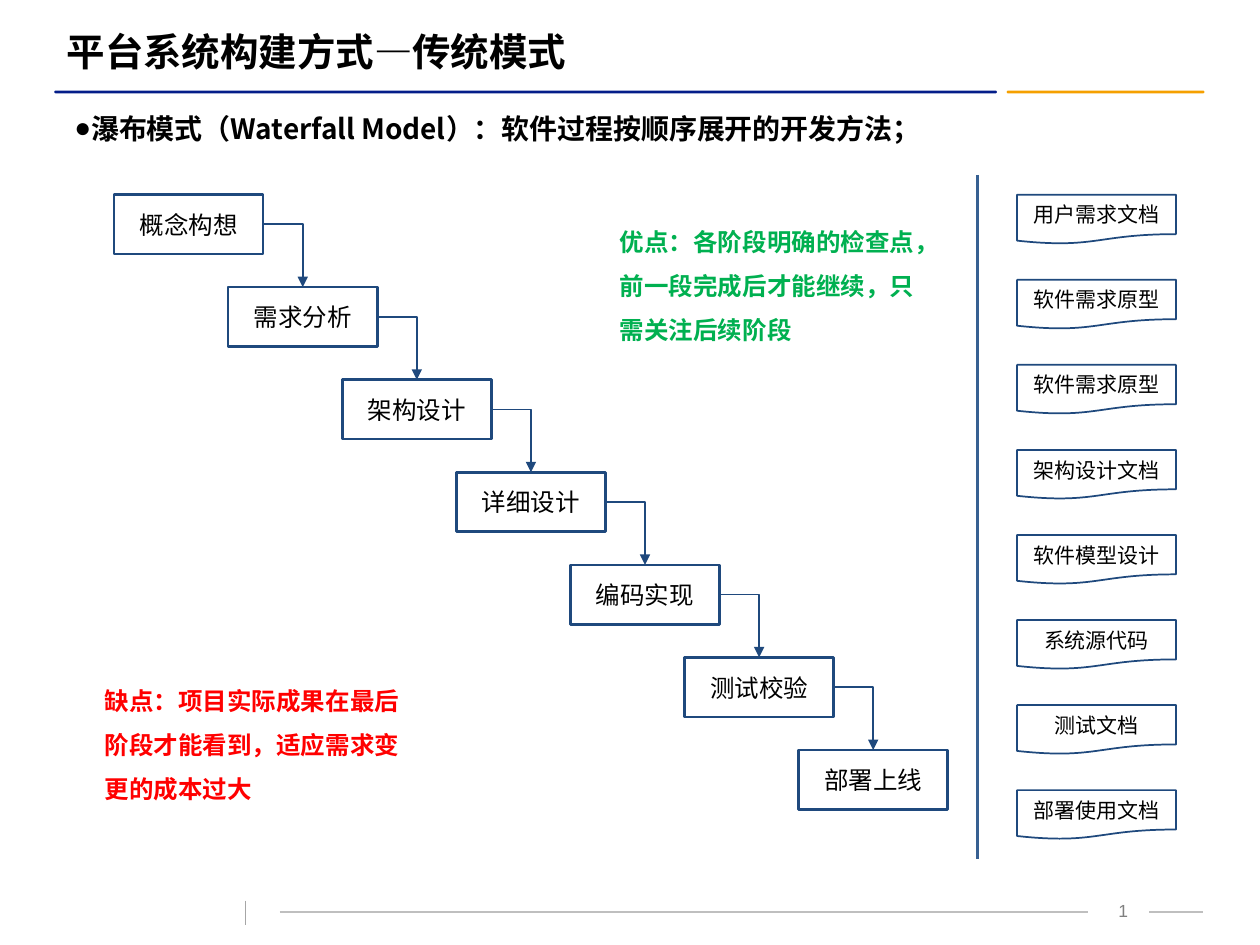
from pptx import Presentation
from pptx.dml.color import RGBColor
from pptx.enum.shapes import MSO_CONNECTOR as Conn, MSO_SHAPE as Shape
from pptx.enum.text import MSO_ANCHOR as Anchor, PP_ALIGN as Align
from pptx.oxml.ns import qn
from pptx.util import Pt
from lxml.etree import SubElement

FONT = "Noto Sans CJK SC"
NAVY = "1F497D"
RIGHT, TOP = 3, 0
STAGES = ["概念构想", "需求分析", "架构设计", "详细设计", "编码实现", "测试校验", "部署上线"]
DOCUMENTS = ["用户需求文档", "软件需求原型", "软件需求原型", "架构设计文档",
             "软件模型设计", "系统源代码", "测试文档", "部署使用文档"]


def rgb(color):
    return RGBColor.from_string(color)


def set_text(s, text, size, color="000000", bold=False, align=Align.LEFT,
             font=FONT, anchor=Anchor.MIDDLE):
    tf = s.text_frame
    tf.word_wrap = True
    tf.vertical_anchor = anchor
    tf.text = text
    p = tf.paragraphs[0]
    p.alignment = align
    r = p.runs[0]
    r.font.size, r.font.bold, r.font.name = Pt(size), bold, font
    r.font.color.rgb = rgb(color)
    SubElement(r.font._element, qn("a:ea")).set("typeface", FONT)
    return p


def add_text(slide, box, text, size, inset=True, **style):
    s = slide.shapes.add_textbox(*map(Pt, box))
    if not inset:
        tf = s.text_frame
        tf.margin_left = tf.margin_top = tf.margin_right = tf.margin_bottom = 0
    return set_text(s, text, size, **style)


def add_bullet(p, char, indent):
    pPr = p._p.get_or_add_pPr()
    pPr.set("marL", str(Pt(indent)))
    pPr.set("indent", str(-Pt(indent)))
    SubElement(pPr, qn("a:buFont")).set("typeface", "Arial")
    SubElement(pPr, qn("a:buChar")).set("char", char)


def add_bar(slide, box, color):
    s = slide.shapes.add_shape(Shape.ROUNDED_RECTANGLE, *map(Pt, box))
    s.shadow.inherit = False
    s.adjustments[0] = 0.5
    s.fill.solid()
    s.fill.fore_color.rgb = rgb(color)
    s.line.fill.background()


def add_outlined(slide, kind, box, text, size, width):
    s = slide.shapes.add_shape(kind, *map(Pt, box))
    s.shadow.inherit = False
    s.fill.background()
    s.line.color.rgb = rgb(NAVY)
    s.line.width = Pt(width)
    set_text(s, text, size, align=Align.CENTER)
    return s


def add_line(slide, start, end, color, width, kind=Conn.STRAIGHT):
    c = slide.shapes.add_connector(kind, *map(Pt, start + end))
    c.line.color.rgb = rgb(color)
    c.line.width = Pt(width)
    SubElement(c._element.spPr, qn("a:effectLst"))
    return c


def add_step_arrow(slide, upper, lower):
    """Arrow with one bend, from the right of one stage to the top of the next."""
    c = add_line(slide, (0, 0), (0, 0), NAVY, 1, Conn.ELBOW)
    c.begin_connect(upper, RIGHT)
    c.end_connect(lower, TOP)
    c._element.spPr.find(qn("a:prstGeom")).set("prst", "bentConnector2")
    SubElement(c.line._get_or_add_ln(), qn("a:tailEnd")).set("type", "triangle")


def add_frame(slide):
    """Header bars and footer."""
    add_bar(slide, (575.3, 51.8, 113, 1.6), "F5A000")
    add_bar(slide, (31, 51.8, 538.6, 1.6), "031D89")
    add_text(slide, (623.5, 510.5, 34, 18), " 1", 10, color="808080",
             align=Align.CENTER, font="Arial", anchor=Anchor.TOP)
    add_line(slide, (160, 521.2), (622, 521.2), "BFBFBF", 0.75)
    add_line(slide, (140.4, 514.6), (140.4, 528.4), "A6A6A6", 0.75)
    add_line(slide, (656.6, 521.2), (687.6, 521.2), "BFBFBF", 0.75)


def add_waterfall(slide):
    boxes = [add_outlined(slide, Shape.RECTANGLE,
                          (65.2 + i * 65.2, 111.2 + i * 52.9, 85.2, 34),
                          name, 14, 1.5)
             for i, name in enumerate(STAGES)]
    for upper, lower in zip(boxes, boxes[1:]):
        add_step_arrow(slide, upper, lower)


def add_documents(slide):
    for i, name in enumerate(DOCUMENTS):
        add_outlined(slide, Shape.FLOWCHART_DOCUMENT,
                     (581.2, 111.3 + i * 48.6, 90.8, 28.1), name, 12, 1)


def add_note(slide, left, top, text, color):
    p = add_text(slide, (left, top, 175.7, 76.3), text, 14, inset=False,
                 color=color, bold=True)
    p.line_spacing = 1.5


def main():
    prs = Presentation()
    prs.slide_width, prs.slide_height = Pt(720), Pt(540)
    slide = prs.slides.add_slide(prs.slide_layouts[6])
    add_frame(slide)
    add_text(slide, (31, 12.2, 655.2, 33.8), "平台系统构建方式—传统模式", 22,
             bold=True, font="Arial")
    p = add_text(slide, (42.5, 63.4, 640.8, 19.4),
                 "瀑布模式（Waterfall Model）：软件过程按顺序展开的开发方法；", 16,
                 inset=False, bold=True)
    add_bullet(p, "●", 9.6)
    add_waterfall(slide)
    add_line(slide, (558.5, 100), (558.5, 491), "376092", 2)
    add_documents(slide)
    add_note(slide, 354.2, 121, "优点：各阶段明确的检查点，前一段完成后才能继续，只需关注后续阶段", "00B050")
    add_note(slide, 59.8, 383, "缺点：项目实际成果在最后阶段才能看到，适应需求变更的成本过大", "FF0000")
    prs.save("out.pptx")


if __name__ == "__main__":
    main()
